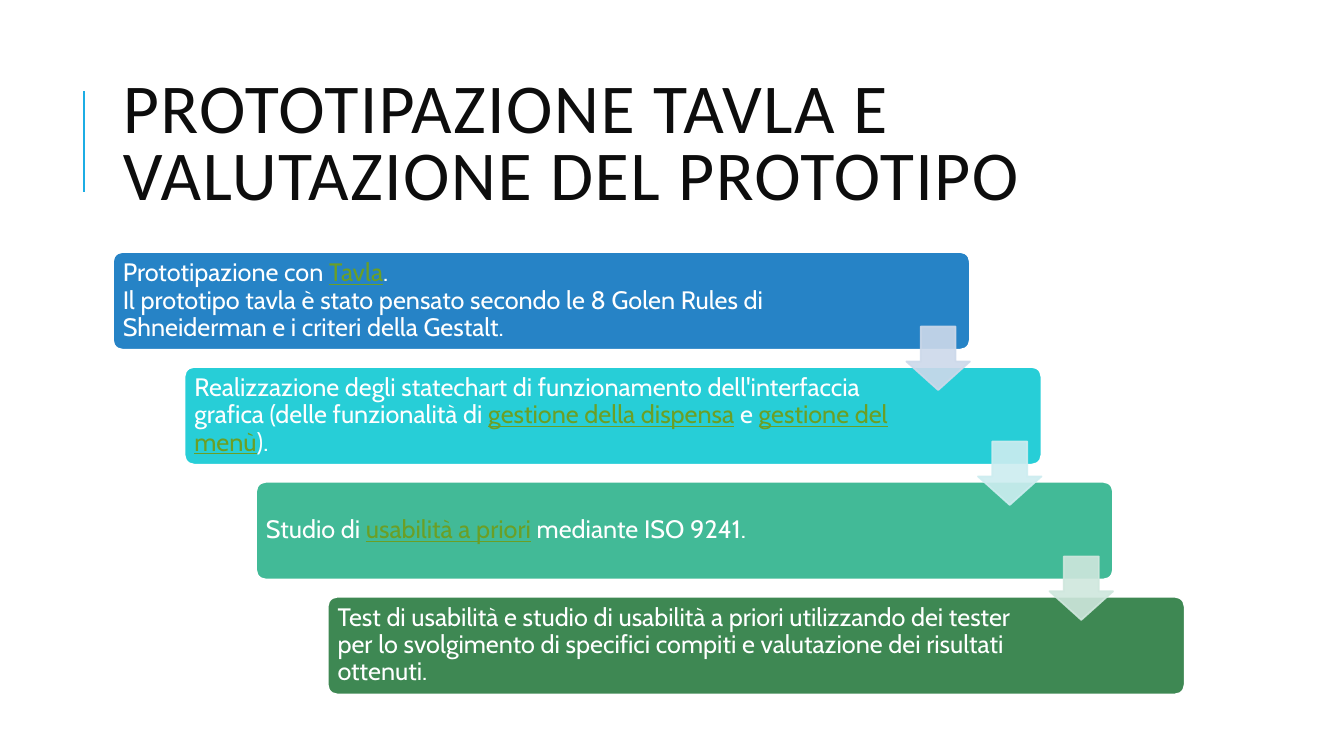
from dataclasses import dataclass

from lxml import etree
from pptx import Presentation
from pptx.dml.color import RGBColor
from pptx.enum.shapes import MSO_CONNECTOR, MSO_SHAPE
from pptx.enum.text import MSO_ANCHOR, PP_ALIGN
from pptx.oxml.ns import qn
from pptx.util import Inches, Pt

STRAIGHT = MSO_CONNECTOR.STRAIGHT
ROUNDED = MSO_SHAPE.ROUNDED_RECTANGLE
DOWN_ARROW = MSO_SHAPE.DOWN_ARROW
MIDDLE = MSO_ANCHOR.MIDDLE
LEFT = PP_ALIGN.LEFT


@dataclass(frozen=True)
class Theme:
    title_font: str = "Calibri"
    body_font: str = "Cabin"
    title_size: int = 50
    body_size: int = 18
    line_width: float = 1.25
    rule_width: float = 1.5
    ink: str = "0D0D0D"
    white: str = "FFFFFF"
    link: str = "6B9F25"
    rule: str = "1CADE4"
    steps: tuple = ("2683C6", "27CED7", "42BA97", "3E8853")
    arrows: tuple = ("CDD9EA", "CDEDF0", "CFE7DD")


def add_span(para, text, font, size, color, underline=False, spacing=0):
    span = para.add_run()
    span.text = text
    span.font.name = font
    span.font.size = Pt(size)
    span.font.color.rgb = RGBColor.from_string(color)
    span.font.underline = underline
    if spacing:
        span._r.get_or_add_rPr().set("spc", str(spacing * 100))


def set_opacity(color_format, percent):
    for color in color_format._xFill.iter(qn("a:srgbClr")):
        etree.SubElement(color, qn("a:alpha")).set("val", str(percent * 1000))


class SlideBuilder:
    def __init__(self, page, theme):
        self.page = page
        self.theme = theme

    def rule(self, x, top, bottom):
        line = self.page.shapes.add_connector(
            STRAIGHT, Inches(x), Inches(bottom), Inches(x), Inches(top))
        line.line.color.rgb = RGBColor.from_string(self.theme.rule)
        line.line.width = Pt(self.theme.rule_width)
        etree.SubElement(line._element.spPr, qn("a:effectLst"))

    def title(self, text, left, top, width, height):
        box = self.page.shapes.add_textbox(
            Inches(left), Inches(top), Inches(width), Inches(height))
        frame = box.text_frame
        frame.word_wrap = True
        frame.vertical_anchor = MIDDLE
        para = frame.paragraphs[0]
        para.line_spacing = 0.8
        para.space_after = Pt(6)
        add_span(para, text, self.theme.title_font, self.theme.title_size,
                 self.theme.ink, spacing=1)

    def shape(self, kind, left, top, width, height, color, outline, adjustments, opacity=100):
        shape = self.page.shapes.add_shape(
            kind, Inches(left), Inches(top), Inches(width), Inches(height))
        shape.shadow.inherit = False
        for index, value in enumerate(adjustments):
            shape.adjustments[index] = value
        shape.fill.solid()
        shape.fill.fore_color.rgb = RGBColor.from_string(color)
        shape.line.color.rgb = RGBColor.from_string(outline)
        shape.line.width = Pt(self.theme.line_width)
        if opacity < 100:
            for color_format in (shape.fill.fore_color, shape.line.color):
                set_opacity(color_format, opacity)
        return shape

    def step(self, left, top, width, height, color, lines):
        box = self.shape(ROUNDED, left, top, width, height, color, self.theme.white, [0.1])
        frame = box.text_frame
        frame.word_wrap = True
        frame.vertical_anchor = MIDDLE
        frame.margin_left = frame.margin_top = frame.margin_bottom = Inches(0.07)
        frame.margin_right = Inches(1.4)
        para = frame.paragraphs[0]
        para.alignment = LEFT
        para.line_spacing = 0.9
        for number, line in enumerate(lines):
            if number:
                para.add_line_break()
            for text, linked in line:
                add_span(para, text, self.theme.body_font, self.theme.body_size,
                         self.theme.link if linked else self.theme.white, underline=linked)

    def arrow(self, left, top, size, color):
        self.shape(DOWN_ARROW, left, top, size, size, color, color, [0.55, 0.45], opacity=90)


STEPS = [
    [[("Prototipazione con ", False), ("Tavla", True), (".", False)],
     [("Il prototipo tavla è stato pensato secondo le 8 Golen Rules "
       "di Shneiderman e i criteri della Gestalt.", False)]],
    [[("Realizzazione degli statechart di funzionamento dell'interfaccia grafica "
       "(delle funzionalità di ", False),
      ("gestione della dispensa", True), (" e ", False),
      ("gestione del menù", True), (").", False)]],
    [[("Studio di ", False), ("usabilità a priori", True), (" mediante ISO 9241.", False)]],
    [[("Test di usabilità e studio di usabilità a priori utilizzando dei tester per lo "
       "svolgimento di specifici compiti e valutazione dei risultati ottenuti.", False)]],
]
STEP_RIGHT = 0.71
STEP_DOWN = 1.14


def main():
    deck = Presentation()
    deck.slide_width = Inches(13.33)
    deck.slide_height = Inches(7.5)
    page = deck.slides.add_slide(deck.slide_layouts[6])
    theme = Theme()
    builder = SlideBuilder(page, theme)
    builder.rule(0.83, 0.9, 1.9)
    builder.title("PROTOTIPAZIONE TAVLA E VALUTAZIONE DEL PROTOTIPO", 1.12, 0.64, 10.63, 1.64)
    for index, (color, lines) in enumerate(zip(theme.steps, STEPS)):
        builder.step(1.12 + index * STEP_RIGHT, 2.5 + index * STEP_DOWN, 8.5, 0.97, color, lines)
    for index, color in enumerate(theme.arrows):
        builder.arrow(8.99 + index * STEP_RIGHT, 3.24 + index * STEP_DOWN, 0.63, color)
    deck.save("out.pptx")


if __name__ == "__main__":
    main()
